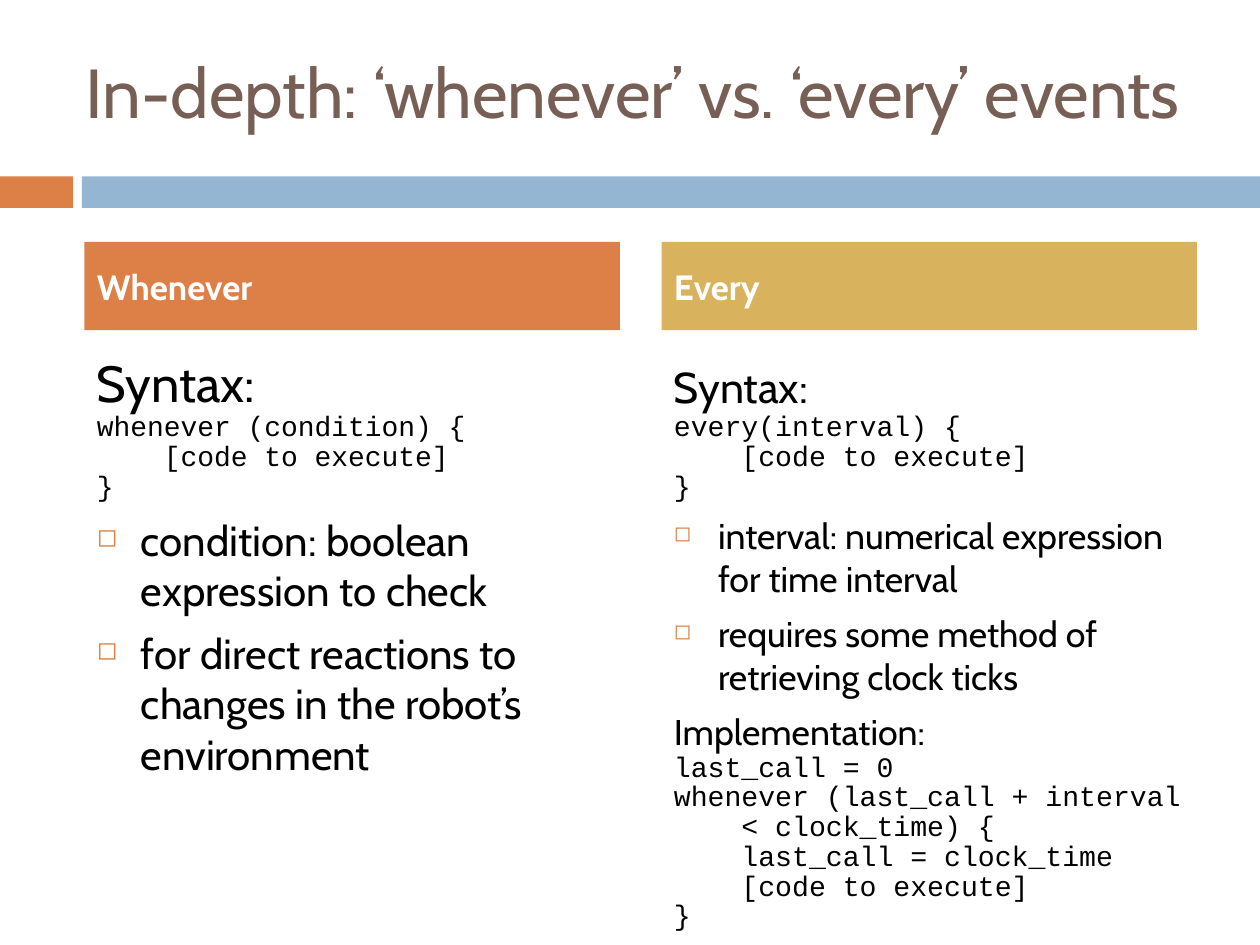
import dataclasses
import typing

import lxml.etree
import pptx
import pptx.dml.color
import pptx.enum.shapes
import pptx.enum.text
import pptx.oxml.ns
import pptx.util

COLOURS = {
    "orange": "DD8047",
    "blue": "94B6D2",
    "gold": "D8B25C",
    "brown": "775F55",
    "black": "000000",
    "white": "FFFFFF",
}
SLIDE_WIDTH, SLIDE_HEIGHT = 10, 7.5
COLUMN_LEFT, COLUMN_STEP, COLUMN_WIDTH = 0.67, 4.58, 4.25
HEADER_TOP, HEADER_HEIGHT, BODY_TOP = 1.92, 0.7, 2.67
BAND_TOP, BAND_HEIGHT = 1.4, 0.25
INDENT = 0.35
TEXT_FONT, CODE_FONT = "Cabin", "Courier New"


@dataclasses.dataclass(frozen=True)
class Style:
    size: float
    font: str = TEXT_FONT
    line_spacing: typing.Optional[float] = None
    bullet: bool = False


@dataclasses.dataclass(frozen=True)
class Column:
    heading: str
    colour: str
    body_height: float
    styles: dict[str, Style]
    lines: list[tuple[str, str]]


def body_styles(lead: float, code: float, text: float) -> dict[str, Style]:
    return {
        "lead": Style(lead, line_spacing=40),
        "code": Style(code, CODE_FONT, line_spacing=10),
        "bullet": Style(text, bullet=True),
        "text": Style(text),
    }


COLUMNS = [
    Column("Whenever", "orange", 3.92, body_styles(29, 16, 24), [
        ("lead", "Syntax:"),
        ("code", "whenever (condition) {"),
        ("code", "    [code to execute]"),
        ("code", "}"),
        ("bullet", "condition: boolean expression to check"),
        ("bullet", "for direct reactions to changes in the robot’s environment"),
    ]),
    Column("Every", "gold", 4.67, body_styles(24.6, 16.1, 20.4), [
        ("lead", "Syntax:"),
        ("code", "every(interval) {"),
        ("code", "    [code to execute]"),
        ("code", "}"),
        ("bullet", "interval: numerical expression for time interval"),
        ("bullet", "requires some method of retrieving clock ticks"),
        ("text", "Implementation:"),
        ("code", "last_call = 0"),
        ("code", "whenever (last_call + interval"),
        ("code", "    < clock_time) {"),
        ("code", "    last_call = clock_time"),
        ("code", "    [code to execute]"),
        ("code", "}"),
    ]),
]


def rgb(name: str) -> pptx.dml.color.RGBColor:
    return pptx.dml.color.RGBColor.from_string(COLOURS[name])


def apply(target: typing.Any, values: dict[str, typing.Any]) -> None:
    for name, value in values.items():
        setattr(target, name, value)


def add_run(paragraph, text: str, size: float, colour: str,
            font: str = TEXT_FONT, bold: bool = False) -> None:
    run = paragraph.add_run()
    run.text = text
    apply(run.font, {"name": font, "size": pptx.util.Pt(size), "bold": bold})
    run.font.color.rgb = rgb(colour)


def add_rectangle(slide, left: float, top: float, width: float, height: float, colour: str):
    shape = slide.shapes.add_shape(
        pptx.enum.shapes.MSO_SHAPE.RECTANGLE,
        *map(pptx.util.Inches, (left, top, width, height)))
    shape.shadow.inherit = False
    shape.fill.solid()
    shape.fill.fore_color.rgb = rgb(colour)
    shape.line.fill.background()
    return shape


def set_hanging_indent(paragraph, bullet: bool) -> None:
    properties = paragraph._p.get_or_add_pPr()
    indent = pptx.util.Inches(INDENT)
    properties.set("marL", str(indent))
    properties.set("indent", str(-indent))
    if not bullet:
        return
    qn = pptx.oxml.ns.qn
    colour = lxml.etree.SubElement(properties, qn("a:buClr"))
    lxml.etree.SubElement(colour, qn("a:srgbClr"), val=COLOURS["orange"])
    lxml.etree.SubElement(properties, qn("a:buSzPct"), val="60000")
    lxml.etree.SubElement(properties, qn("a:buChar"), char="◻")


def add_title(slide, text: str) -> None:
    title = slide.shapes.title
    apply(title, {
        "left": pptx.util.Inches(0.58), "top": pptx.util.Inches(0.3),
        "width": pptx.util.Inches(8.92), "height": pptx.util.Inches(0.95),
    })
    apply(title.text_frame, {
        "word_wrap": True,
        "auto_size": pptx.enum.text.MSO_AUTO_SIZE.NONE,
        "vertical_anchor": pptx.enum.text.MSO_ANCHOR.MIDDLE,
    })
    paragraph = title.text_frame.paragraphs[0]
    apply(paragraph, {"alignment": pptx.enum.text.PP_ALIGN.LEFT,
                      "line_spacing": pptx.util.Pt(40)})
    add_run(paragraph, text, 39.6, "brown")


def add_header(slide, column: Column, left: float) -> None:
    header = add_rectangle(slide, left, HEADER_TOP, COLUMN_WIDTH, HEADER_HEIGHT, column.colour)
    header.text_frame.vertical_anchor = pptx.enum.text.MSO_ANCHOR.MIDDLE
    paragraph = header.text_frame.paragraphs[0]
    apply(paragraph, {"alignment": pptx.enum.text.PP_ALIGN.LEFT,
                      "space_before": pptx.util.Pt(7)})
    add_run(paragraph, column.heading, 20, "white", bold=True)


def add_body(slide, column: Column, left: float) -> None:
    box = slide.shapes.add_textbox(
        *map(pptx.util.Inches, (left, BODY_TOP, COLUMN_WIDTH, column.body_height)))
    frame = box.text_frame
    frame.word_wrap = True
    for number, (kind, text) in enumerate(column.lines):
        style = column.styles[kind]
        paragraph = frame.add_paragraph() if number else frame.paragraphs[0]
        paragraph.space_before = pptx.util.Pt(7)
        if style.line_spacing:
            paragraph.line_spacing = pptx.util.Pt(style.line_spacing)
        set_hanging_indent(paragraph, style.bullet)
        add_run(paragraph, text, style.size, "black", style.font)


def main() -> None:
    presentation = pptx.Presentation()
    apply(presentation, {"slide_width": pptx.util.Inches(SLIDE_WIDTH),
                         "slide_height": pptx.util.Inches(SLIDE_HEIGHT)})
    slide = presentation.slides.add_slide(presentation.slide_layouts[5])

    # Title and the band below it
    add_title(slide, "In-depth: ‘whenever’ vs. ‘every’ events")
    add_rectangle(slide, 0, BAND_TOP, 0.58, BAND_HEIGHT, "orange")
    add_rectangle(slide, 0.65, BAND_TOP, SLIDE_WIDTH - 0.65, BAND_HEIGHT, "blue")

    # Two compared columns
    for number, column in enumerate(COLUMNS):
        left = COLUMN_LEFT + number * COLUMN_STEP
        add_body(slide, column, left)
        add_header(slide, column, left)

    presentation.save("out.pptx")


if __name__ == "__main__":
    main()
